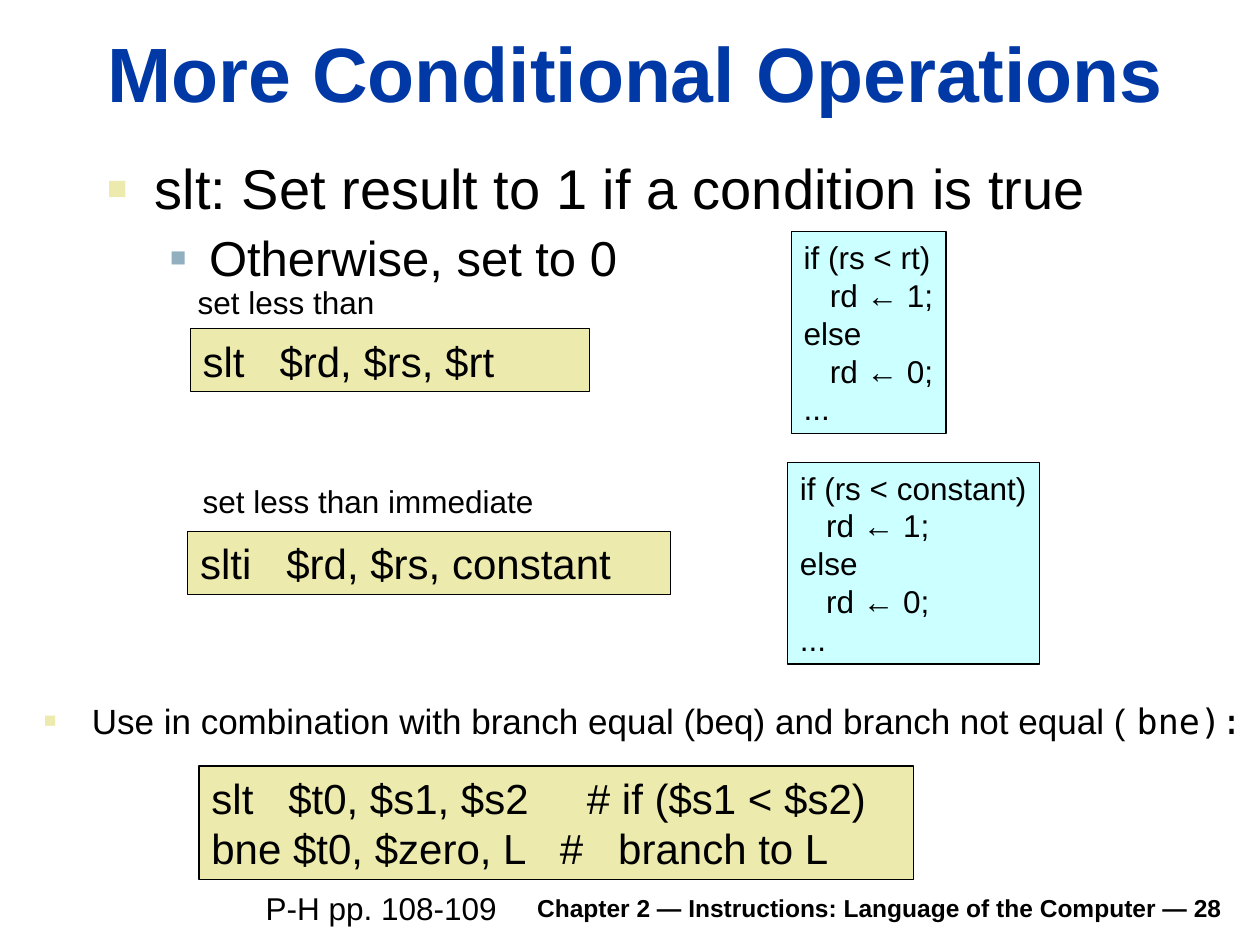
from dataclasses import dataclass

from lxml import etree
from pptx import Presentation
from pptx import util as u
from pptx.dml.color import RGBColor
from pptx.enum import shapes, text
from pptx.oxml.ns import qn


@dataclass(frozen=True)
class Theme:
    ink: str = "000000"
    heading: str = "0039A6"
    code_fill: str = "ECEAAC"
    pseudo_fill: str = "CCFFFF"
    sub_bullet: str = "91AFBF"
    font: str = "Arial"
    mono: str = "DejaVu Sans Mono"
    title: int = 44
    body: int = 32
    sub_body: int = 28
    code: int = 24
    remark: int = 20
    label: int = 18
    footer: int = 14


THEME = Theme()
COLUMNS, ROWS = 100, 75
SLIDE_WIDTH, SLIDE_HEIGHT = u.Inches(10), u.Inches(7.5)


def place(box):
    """Turn a box in grid columns and rows into slide lengths."""
    left, top, width, height = box
    column, row = SLIDE_WIDTH / COLUMNS, SLIDE_HEIGHT / ROWS
    return [u.Emu(round(n)) for n in
            (left * column, top * row, width * column, height * row)]


def within(box, part):
    """Shift a part by the corner of the box that holds it."""
    return box[0] + part[0], box[1] + part[1], part[2], part[3]


def apply(target, **values):
    for name, value in values.items():
        setattr(target, name, value)


def style(para, size, color=THEME.ink, **values):
    for span in para.runs:
        apply(span.font, name=THEME.font, size=u.Pt(size), **values)
        span.font.color.rgb = RGBColor.from_string(color)


def write(frame, lines, size, color=THEME.ink, align=text.PP_ALIGN.LEFT, **values):
    for index, line in enumerate(lines):
        para = frame.paragraphs[0] if index == 0 else frame.add_paragraph()
        para.text = line
        para.alignment = align
        style(para, size, color, **values)


def add_bullet(para, color, percent, margin, hanging):
    props = para._p.get_or_add_pPr()
    props.set("marL", str(u.Inches(margin)))
    props.set("indent", str(-u.Inches(hanging)))
    bullet_color = etree.SubElement(props, qn("a:buClr"))
    etree.SubElement(bullet_color, qn("a:srgbClr"), val=color)
    etree.SubElement(props, qn("a:buSzPct"), val=str(percent * 1000))
    etree.SubElement(props, qn("a:buFont"), typeface=THEME.font)
    etree.SubElement(props, qn("a:buChar"), char="■")


def add_text(parent, box, lines, size, anchor=text.MSO_ANCHOR.TOP, **values):
    label = parent.shapes.add_textbox(*place(box))
    apply(label.text_frame, word_wrap=True, vertical_anchor=anchor,
          auto_size=text.MSO_AUTO_SIZE.NONE)
    write(label.text_frame, lines, size, **values)
    return label


def add_panel(parent, box, lines, size, fill, wrap=True, anchor=text.MSO_ANCHOR.TOP):
    panel = parent.shapes.add_shape(shapes.MSO_SHAPE.RECTANGLE, *place(box))
    panel.shadow.inherit = False
    panel.fill.solid()
    panel.fill.fore_color.rgb = RGBColor.from_string(fill)
    panel.line.color.rgb = RGBColor.from_string(THEME.ink)
    panel.line.width = u.Pt(0.75)
    apply(panel.text_frame, word_wrap=wrap, vertical_anchor=anchor)
    write(panel.text_frame, lines, size)


def add_heading(page, box):
    title = page.shapes.title
    apply(title, **dict(zip(("left", "top", "width", "height"), place(box))))
    apply(title.text_frame, vertical_anchor=text.MSO_ANCHOR.BOTTOM, word_wrap=True,
          auto_size=text.MSO_AUTO_SIZE.NONE)
    write(title.text_frame, ["More Conditional Operations"], THEME.title,
          THEME.heading, bold=True)


def add_summary(page, box):
    body = page.placeholders[1]
    apply(body, **dict(zip(("left", "top", "width", "height"), place(box))))
    apply(body.text_frame, word_wrap=True, auto_size=text.MSO_AUTO_SIZE.NONE)
    write(body.text_frame, ["slt: Set result to 1 if a condition is true",
                            "Otherwise, set to 0"], THEME.body)
    main, sub = body.text_frame.paragraphs
    apply(main, line_spacing=0.9, space_before=u.Pt(0))
    add_bullet(main, THEME.code_fill, 60, 0.38, 0.38)
    apply(sub, level=1, line_spacing=0.9, space_before=u.Pt(7))
    add_bullet(sub, THEME.sub_bullet, 55, 0.81, 0.31)
    style(sub, THEME.sub_body)


def add_instruction(page, box, name, code, condition, parts):
    """One instruction: its code, its meaning and its full name."""
    group = page.shapes.add_group_shape()
    add_panel(group, within(box, parts["code"]), [code], THEME.code, THEME.code_fill)
    meaning = [f"if ({condition})", "   rd ← 1;", "else", "   rd ← 0;", "..."]
    add_panel(group, within(box, parts["meaning"]), meaning, THEME.label,
              THEME.pseudo_fill, wrap=False, anchor=text.MSO_ANCHOR.MIDDLE)
    add_text(group, within(box, parts["name"]), [name], THEME.label)


def add_usage(page, box):
    """The remark on branches and its example."""
    group = page.shapes.add_group_shape()
    remark = add_text(
        group, within(box, (0, 0, 97.5, 6.7)),
        ["Use in combination with branch equal (beq) and branch not equal ( "],
        THEME.remark)
    para = remark.text_frame.paragraphs[0]
    add_bullet(para, THEME.code_fill, 60, 0.38, 0.38)
    span = para.add_run()
    span.text = "bne):"
    style(para, THEME.remark)
    span.font.name = THEME.mono
    example = "slt   $t0, $s1, $s2     # if ($s1 < $s2)\vbne $t0, $zero, L   #   branch to L"
    add_panel(group, within(box, (13.3, 5.8, 56.7, 9)), [example],
              THEME.code, THEME.code_fill)


def add_footer(page, box):
    add_text(page, within(box, (0, 0, 79.5, 3.9)),
             ["Chapter 2 — Instructions: Language of the Computer — 28"],
             THEME.footer, anchor=text.MSO_ANCHOR.BOTTOM,
             align=text.PP_ALIGN.RIGHT, bold=True)
    add_text(page, within(box, (1.6, 0.3, 21.3, 4)), ["P-H pp. 108-109"], THEME.label)


def main():
    deck = Presentation()
    apply(deck, slide_width=SLIDE_WIDTH, slide_height=SLIDE_HEIGHT)
    page = deck.slides.add_slide(deck.slide_layouts[1])

    add_heading(page, (7.5, 1.6, 90.3, 8.3))
    add_summary(page, (7.5, 12.3, 90.4, 11.9))
    add_instruction(page, (14.7, 18.4, 60.4, 16), "set less than",
                    "slt   $rd, $rs, $rt", "rs < rt",
                    {"name": (0, 3.6, 17, 4), "code": (0.4, 7.7, 31.7, 5),
                     "meaning": (48.1, 0, 12.3, 16)})
    add_instruction(page, (14.9, 36.7, 67.6, 16), "set less than immediate",
                    "slti   $rd, $rs, constant", "rs < constant",
                    {"name": (0.2, 1.1, 29.2, 4), "code": (0, 5.5, 38.3, 5),
                     "meaning": (47.6, 0, 20, 16)})
    add_usage(page, (2.5, 55, 97.5, 14.8))
    add_footer(page, (18.5, 69.8, 79.5, 4.3))

    deck.save("out.pptx")


if __name__ == "__main__":
    main()
